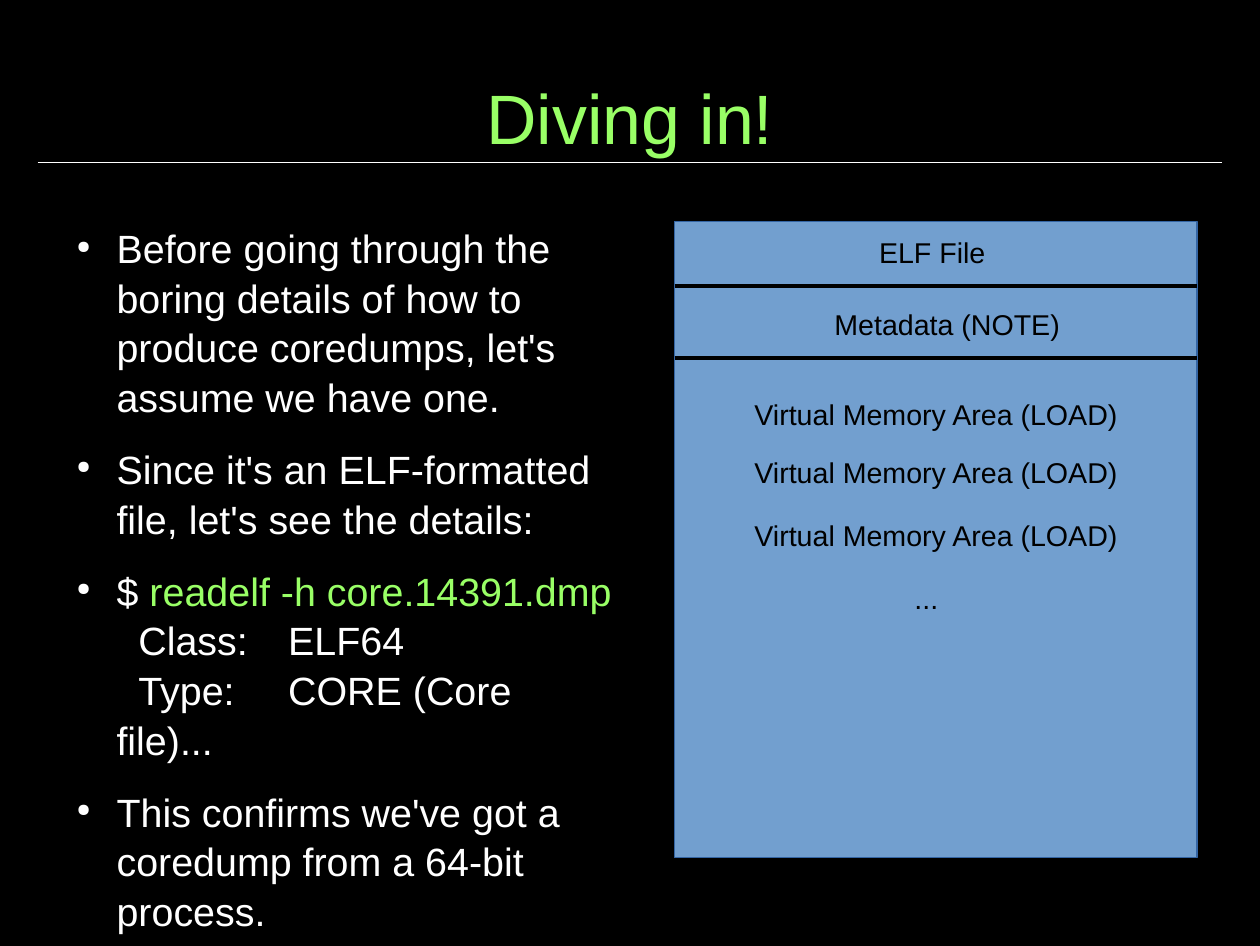
import pptx
import pptx.dml.color
import pptx.enum.shapes
import pptx.enum.text
import pptx.oxml
import pptx.oxml.ns
import pptx.util
from pptx.util import Inches

COLORS = {
    "background": "000000",
    "text": "FFFFFF",
    "accent": "99FF66",
    "label": "000000",
    "block": "729FCF",
    "block_line": "3465A4",
}
FONT = "Arial"
BLOCK_LEFT, BLOCK_TOP, BLOCK_WIDTH, BLOCK_HEIGHT = 5.9, 1.94, 4.57, 5.56


def rgb(name):
    """Return the colour with the given name."""
    return pptx.dml.color.RGBColor.from_string(COLORS[name])


def add_run(p, text, size, color):
    """Append a formatted run to a paragraph."""
    r = p.add_run()
    r.text = text
    r.font.name = FONT
    r.font.size = pptx.util.Pt(size)
    r.font.color.rgb = rgb(color)


def set_frame(tf, horizontal=0, vertical=0):
    """Turn wrapping on and set the insets of a text frame."""
    tf.word_wrap = True
    tf.auto_size = pptx.enum.text.MSO_AUTO_SIZE.NONE
    tf.margin_left = tf.margin_right = Inches(horizontal)
    tf.margin_top = tf.margin_bottom = Inches(vertical)


def add_ppr_child(p, xml):
    """Append a child element to the paragraph properties."""
    ns = pptx.oxml.ns.nsdecls("a")
    tag, rest = xml.split(" ", 1)
    p._p.get_or_add_pPr().append(pptx.oxml.parse_xml(f"<{tag} {ns} {rest}"))


def set_indent(p, left, first):
    """Set the left and first-line indents of a paragraph."""
    ppr = p._p.get_or_add_pPr()
    ppr.set("marL", str(Inches(left)))
    ppr.set("indent", str(Inches(first)))


def add_title(s, text):
    """Place and fill the title placeholder."""
    sp = s.shapes.title
    sp.left, sp.top = Inches(0.55), Inches(0.33)
    sp.width, sp.height = Inches(9.92), Inches(1.38)
    tf = sp.text_frame
    set_frame(tf)
    tf.vertical_anchor = pptx.enum.text.MSO_ANCHOR.MIDDLE
    p = tf.paragraphs[0]
    p.alignment = pptx.enum.text.PP_ALIGN.CENTER
    add_run(p, text, 44, "accent")


def add_line(s, left, right, y, color, width=0):
    """Draw a horizontal line."""
    line = s.shapes.add_connector(
        pptx.enum.shapes.MSO_CONNECTOR.STRAIGHT,
        Inches(left), Inches(y), Inches(right), Inches(y))
    line.line.color.rgb = rgb(color)
    line.line.width = pptx.util.Pt(width)
    ns = pptx.oxml.ns.nsdecls("a")
    line._element.spPr.append(pptx.oxml.parse_xml(f"<a:effectLst {ns}/>"))


def add_body(s, items):
    """Write bulleted paragraphs and the indented output lines under them."""
    box = s.shapes.add_textbox(Inches(0.55), Inches(1.94), Inches(4.84), Inches(5.46))
    tf = box.text_frame
    set_frame(tf)
    for i, (bulleted, space_after, runs) in enumerate(items):
        p = tf.paragraphs[0] if i == 0 else tf.add_paragraph()
        p.line_spacing = 1.05
        p.space_before = pptx.util.Pt(0)
        p.space_after = pptx.util.Pt(space_after)
        if bulleted:
            set_indent(p, 0.47, -0.35)
            add_ppr_child(p, f'a:buClr ><a:srgbClr val="{COLORS["text"]}"/></a:buClr>')
            add_ppr_child(p, 'a:buSzPct val="45000"/>')
            add_ppr_child(p, 'a:buChar char="●"/>')
        else:
            set_indent(p, 0.47, 0.19)
            add_ppr_child(p, "a:buNone />")
            add_ppr_child(p, f'a:tabLst ><a:tab pos="{Inches(2)}" algn="l"/></a:tabLst>')
        for text, color in runs:
            add_run(p, text, 24.8, color)


def add_block(s):
    """Draw the file block."""
    sp = s.shapes.add_shape(
        pptx.enum.shapes.MSO_SHAPE.RECTANGLE, Inches(BLOCK_LEFT), Inches(BLOCK_TOP),
        Inches(BLOCK_WIDTH), Inches(BLOCK_HEIGHT))
    sp.shadow.inherit = False
    sp.fill.solid()
    sp.fill.fore_color.rgb = rgb("block")
    sp.line.color.rgb = rgb("block_line")
    sp.line.width = pptx.util.Pt(0)


def add_label(s, text, left, top, width, height=0.66):
    """Write a label on the file block."""
    box = s.shapes.add_textbox(Inches(left), Inches(top), Inches(width), Inches(height))
    set_frame(box.text_frame, 0.1, 0.05)
    add_run(box.text_frame.paragraphs[0], text, 18, "label")


def main():
    """Build the slide and save it."""
    prs = pptx.Presentation()
    prs.slide_width, prs.slide_height = Inches(11.02), Inches(8.27)
    s = prs.slides.add_slide(prs.slide_layouts[5])
    s.background.fill.solid()
    s.background.fill.fore_color.rgb = rgb("background")

    add_line(s, 0.33, 10.69, 1.42, "text", 0.75)
    add_title(s, "Diving in!")
    add_body(s, [
        (True, 14.1, [("Before going through the boring details of how to produce "
                       "coredumps, let's assume we have one.", "text")]),
        (True, 14.1, [("Since it's an ELF-formatted file, let's see the details:", "text")]),
        (True, 0, [("$ ", "text"), ("readelf -h core.14391.dmp", "accent")]),
        (False, 0, [("Class:\tELF64", "text")]),
        (False, 14.1, [("Type:\tCORE (Core file)...", "text")]),
        (True, 14.1, [("This confirms we've got a coredump from a 64-bit process.", "text")]),
    ])

    add_block(s)
    for y in (2.5, 3.13):
        add_line(s, BLOCK_LEFT, BLOCK_LEFT + BLOCK_WIDTH, y, "label")
    add_label(s, "ELF File", 7.59, 2, 2, 0.38)
    add_label(s, "Metadata (NOTE)", 7.2, 2.63, 2.39)
    for top in (3.42, 3.93, 4.48):
        add_label(s, "Virtual Memory Area (LOAD)", 6.5, top, 3.4)
    add_label(s, "...", 7.9, 5.03, 2)

    prs.save("out.pptx")


if __name__ == "__main__":
    main()
